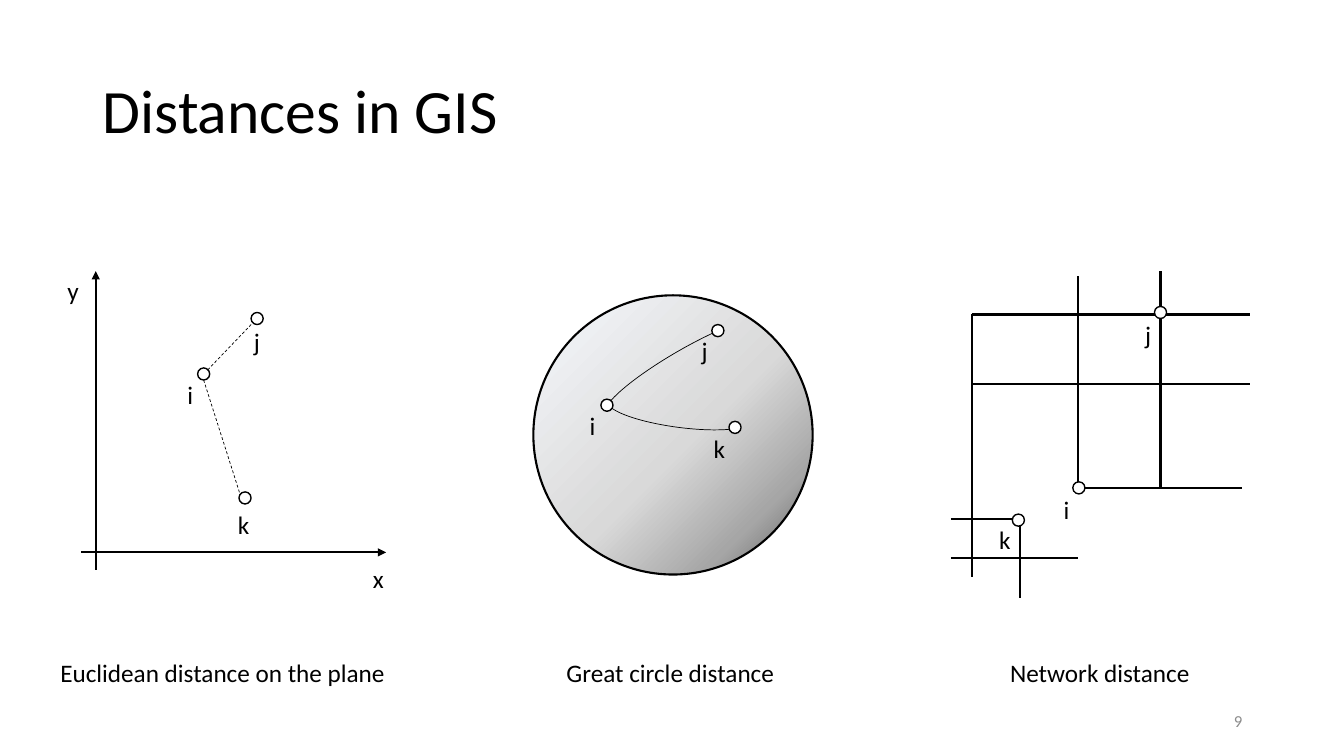
from pptx import Presentation
from pptx.dml.color import RGBColor
from pptx.enum import dml, shapes, text
from pptx.oxml import parse_xml
from pptx.oxml.ns import nsdecls, qn
from pptx.util import Inches, Pt

BLACK = RGBColor(0, 0, 0)
WHITE = RGBColor(255, 255, 255)
GRAY = RGBColor(0x8C, 0x8C, 0x8C)
DOT = 0.12
LABEL_H = 0.4
SHADES = [(0, "F6F8FC"), (54, "D9D9D9"), (80, "A6A6A6"), (100, "595959")]

# Content: words with left, top, width
TITLE = "Distances in GIS"
PAGE = "9"
CAPTIONS = [
    ("Euclidean distance on the plane", 0.5, 6.47, 3.46),
    ("Great circle distance", 5.52, 6.47, 2.29),
    ("Network distance", 9.92, 6.47, 2),
]

# Panels: lines (x1, y1, x2, y2), dots (left, top), labels like captions
NETWORK = {
    "roads": [
        (9.64, 3.12, 9.64, 5.72), (9.43, 5.15, 10.13, 5.15),
        (9.64, 3.81, 12.4, 3.81), (10.69, 2.74, 10.69, 4.85),
        (11.51, 2.69, 11.51, 4.85), (10.71, 4.84, 12.32, 4.84),
        (9.43, 5.54, 10.69, 5.54), (10.12, 5.14, 10.12, 5.93),
        (9.64, 3.12, 12.4, 3.12),
    ],
    "dots": [(10.64, 4.78), (10.04, 5.1), (11.45, 3.04)],
    "labels": [("i", 10.45, 4.86, 0.26), ("j", 11.26, 3.12, 0.26),
               ("k", 9.81, 5.15, 0.32)],
}
SPHERE = {
    "globe": (5.29, 2.93, 2.77, 2.77),
    # box, rotation, start and end adjustments
    "arcs": [((5.88, 3.46, 1.87, 0.35), 330.1, (111.399, 202.134)),
             ((6.02, 3.92, 1.44, 0.32), 187.6, (115.561, 212.984))],
    "dots": [(5.96, 3.96), (7.06, 3.22), (7.23, 4.18)],
    "labels": [("i", 5.75, 4.02, 0.26), ("j", 6.86, 3.28, 0.26),
               ("k", 6.98, 4.25, 0.32)],
}
PLANE = {
    "paths": [(2.06, 3.67, 2.51, 3.2), (2.02, 3.77, 2.38, 4.9)],
    "axes": [(0.95, 2.69, 0.95, 5.65), (3.83, 5.48, 0.8, 5.48)],
    "dots": [(1.96, 3.65), (2.49, 3.1), (2.37, 4.88)],
    "labels": [("x", 3.6, 5.54, 0.31), ("y", 0.57, 2.68, 0.32),
               ("i", 1.76, 3.71, 0.26), ("j", 2.42, 3.19, 0.26),
               ("k", 2.26, 5, 0.32)],
}


def inch(box):
    return [Inches(v) for v in box]


def write(home, words, box, size=18, color=BLACK, wrap=False, frame=(), para=()):
    area = home.add_textbox(*inch(box)).text_frame
    area.word_wrap = wrap
    line = area.paragraphs[0]
    run = line.add_run()
    run.text = words
    run.font.color.rgb = color
    formats = [(area, dict(frame)), (line, dict(para)),
               (run.font, {"name": "Calibri", "size": Pt(size)})]
    for part, values in formats:
        for key, value in values.items():
            setattr(part, key, value)


def draw(home, ends, width=1.5, dash=False, arrow=False):
    link = home.add_connector(shapes.MSO_CONNECTOR.STRAIGHT, *inch(ends))
    link.line.color.rgb = BLACK
    link.line.width = Pt(width)
    if dash:
        link.line.dash_style = dml.MSO_LINE.DASH
    if arrow:
        link.line._get_or_add_ln().append(
            parse_xml(f'<a:headEnd {nsdecls("a")} type="triangle"/>'))
    link._element.spPr.append(parse_xml(f'<a:effectLst {nsdecls("a")}/>'))


def form(home, kind, box, width, fill=None):
    item = home.add_shape(kind, *inch(box))
    item.shadow.inherit = False
    item.line.color.rgb = BLACK
    item.line.width = Pt(width)
    if fill is None:
        item.fill.background()
    else:
        item.fill.solid()
        item.fill.fore_color.rgb = fill
    return item


def shade(item):
    stops = "".join(
        f'<a:gs pos="{pos * 1000}"><a:srgbClr val="{tone}"/></a:gs>'
        for pos, tone in SHADES)
    grad = parse_xml(
        f'<a:gradFill {nsdecls("a")} rotWithShape="1"><a:gsLst>{stops}</a:gsLst>'
        '<a:path path="circle"><a:fillToRect r="100000" b="100000"/></a:path>'
        '</a:gradFill>')
    props = item._element.spPr
    props.replace(props.find(qn("a:solidFill")), grad)


def panel(slide, data):
    home = slide.shapes.add_group_shape().shapes
    # Lines and surfaces
    for ends in data.get("roads", []):
        draw(home, ends)
    for ends in data.get("paths", []):
        draw(home, ends, 0.5, dash=True)
    for ends in data.get("axes", []):
        draw(home, ends, arrow=True)
    if "globe" in data:
        shade(form(home, shapes.MSO_SHAPE.OVAL, data["globe"], 1.5, WHITE))
    for box, turn, span in data.get("arcs", []):
        arc = form(home, shapes.MSO_SHAPE.ARC, box, 0.5)
        arc.rotation = turn
        for n, value in enumerate(span):
            arc.adjustments[n] = value
    # Points and their names
    for left, top in data["dots"]:
        form(home, shapes.MSO_SHAPE.OVAL, (left, top, DOT, DOT), 1, WHITE)
    for words, left, top, width in data["labels"]:
        write(home, words, (left, top, width, LABEL_H))


def main():
    deck = Presentation()
    deck.slide_width, deck.slide_height = inch((13.33, 7.5))
    slide = deck.slides.add_slide(deck.slide_layouts[6])
    middle = {"vertical_anchor": text.MSO_ANCHOR.MIDDLE}

    # Title and page number
    write(slide.shapes, TITLE, (0.92, 0.4, 11.5, 1.45), 44, wrap=True,
          frame=middle, para={"line_spacing": 0.9})
    write(slide.shapes, PAGE, (9.42, 6.95, 3, 0.4), 12, GRAY, wrap=True,
          frame=middle, para={"alignment": text.PP_ALIGN.RIGHT})

    # Panels and captions
    for data in (NETWORK, SPHERE, PLANE):
        panel(slide, data)
    for words, left, top, width in CAPTIONS:
        write(slide.shapes, words, (left, top, width, LABEL_H))
    deck.save("out.pptx")


if __name__ == "__main__":
    main()
